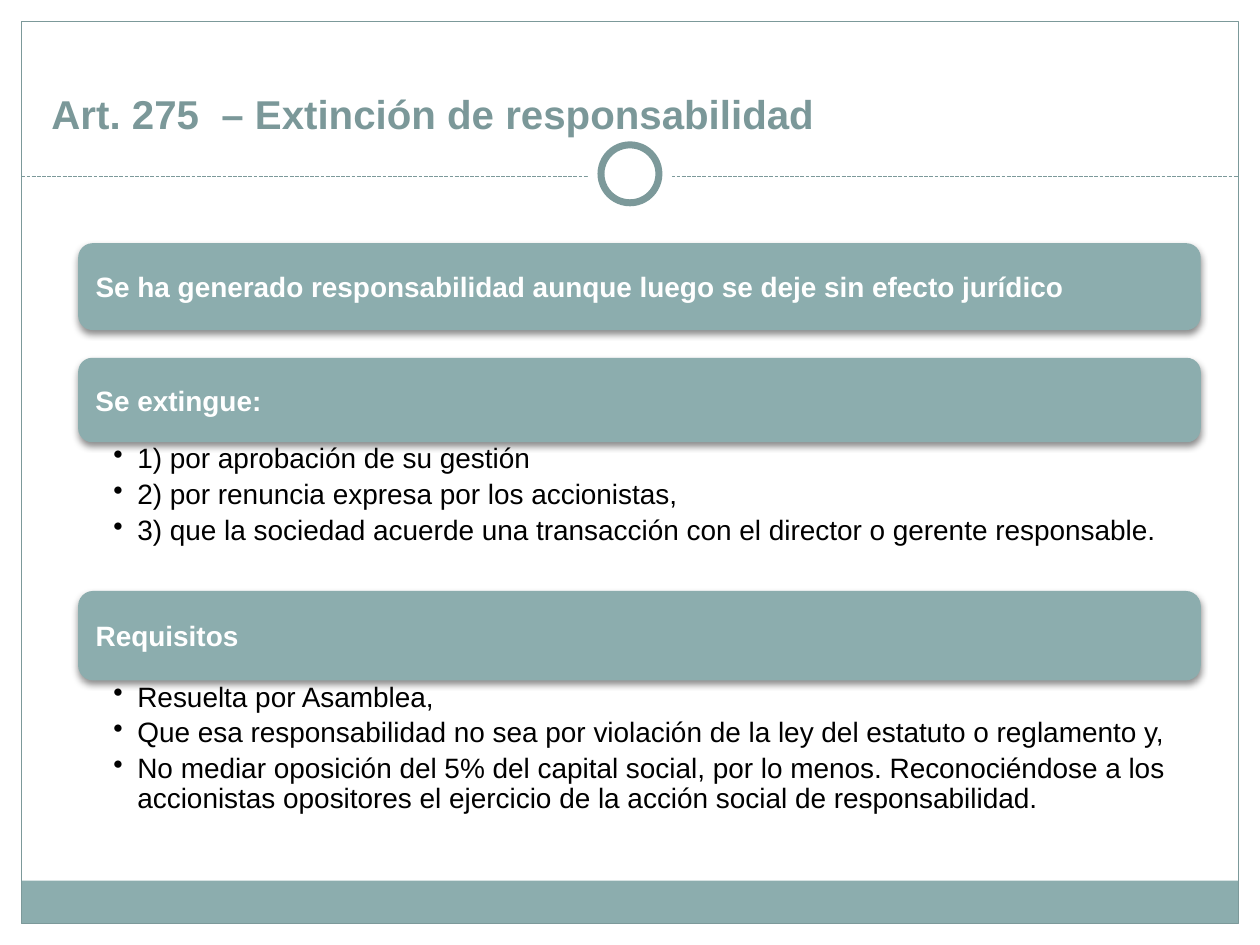
from lxml import etree
from pptx import Presentation
from pptx.dml.color import RGBColor
from pptx.enum.dml import MSO_LINE
from pptx.enum.shapes import MSO_CONNECTOR, MSO_SHAPE
from pptx.enum.text import MSO_ANCHOR, PP_ALIGN
from pptx.oxml.ns import qn
from pptx.util import Inches, Pt

RECT, ROUND, OVAL = MSO_SHAPE.RECTANGLE, MSO_SHAPE.ROUNDED_RECTANGLE, MSO_SHAPE.OVAL
STRAIGHT, DASH = MSO_CONNECTOR.STRAIGHT, MSO_LINE.SQUARE_DOT
TOP, MIDDLE, BOTTOM = MSO_ANCHOR.TOP, MSO_ANCHOR.MIDDLE, MSO_ANCHOR.BOTTOM
LEFT = PP_ALIGN.LEFT
COLS, ROWS = 100, 75
UNIT = Inches(10) // COLS
FONT = "Arial"
INK = {"sage": "8CADAE", "edge": "7C999A", "title": "7B9899",
       "white": "FFFFFF", "black": "000000"}

TITLE = "Art. 275  – Extinción de responsabilidad"
PARTS = [
    ("Se ha generado responsabilidad aunque luego se deje sin efecto jurídico", 6.9, []),
    ("Se extingue:", 6.7, [
        "1) por aprobación de su gestión",
        "2) por renuncia expresa por los accionistas,",
        "3) que la sociedad acuerde una transacción con el director o gerente responsable.",
    ]),
    ("Requisitos", 7.1, [
        "Resuelta por Asamblea,",
        "Que esa responsabilidad no sea por violación de la ley del estatuto o reglamento y,",
        "No mediar oposición del 5% del capital social, por lo menos. Reconociéndose a los "
        "accionistas opositores el ejercicio de la acción social de responsabilidad.",
    ]),
]
LIST_ROWS, GAP = 11.8, 2.2


def grid(*cells):
    return [round(cell * UNIT) for cell in cells]


def tint(name):
    return RGBColor.from_string(INK[name])


def form(slide, kind, box, fill=None, line=None, width=0.75):
    shape = slide.shapes.add_shape(kind, *grid(*box))
    shape.shadow.inherit = False
    if fill:
        shape.fill.solid()
        shape.fill.fore_color.rgb = tint(fill)
    else:
        shape.fill.background()
    if line:
        shape.line.color.rgb = tint(line)
        shape.line.width = Pt(width)
    else:
        shape.line.fill.background()
    return shape


def write(shape, lines, size, color, bold, anchor, pads):
    frame = shape.text_frame
    frame.word_wrap = True
    frame.vertical_anchor = anchor
    (frame.margin_left, frame.margin_top,
     frame.margin_right, frame.margin_bottom) = grid(*pads)
    frame.text = "\n".join(lines)
    for para in frame.paragraphs:
        para.alignment = LEFT
        para.font.name = FONT
        para.font.size = Pt(size)
        para.font.bold = bold
        para.font.color.rgb = tint(color)
    return frame.paragraphs


def shade(shape):
    effect = shape._element.spPr.find(qn("a:effectLst"))
    outer = etree.SubElement(effect, qn("a:outerShdw"), blurRad=str(Pt(4)),
                             dist=str(Pt(2)), dir="5400000", rotWithShape="0")
    color = etree.SubElement(outer, qn("a:srgbClr"), val=INK["black"])
    etree.SubElement(color, qn("a:alpha"), val="45000")


def bullet(para):
    para.line_spacing = 0.9
    para.space_after = Pt(3.2)
    props = para._p.get_or_add_pPr()
    indent = round(1.9 * UNIT)
    props.set("marL", str(indent))
    props.set("indent", str(-indent))
    etree.SubElement(props, qn("a:buChar"), char="•")


def border(slide, box):
    x, y, w, h = box
    foot = 3.4
    form(slide, RECT, (x, y + h - foot, w, foot), "sage")
    form(slide, RECT, box, line="edge")


def header(slide, box):
    x, y, w, h = box
    rule = y + h
    line = slide.shapes.add_connector(STRAIGHT, *grid(x, rule, x + w, rule))
    line.line.color.rgb = tint("edge")
    line.line.width = Pt(0.75)
    line.line.dash_style = DASH
    etree.SubElement(line._element.spPr, qn("a:effectLst"))
    mid = x + w / 2
    for size, edge in ((6.7, None), (4.6, "edge")):
        form(slide, OVAL, (mid - size / 2, rule - 0.2 - size / 2, size, size),
             "white", edge, 4)
    title = slide.shapes.add_textbox(*grid(x + 1.4, y + 1.4, w - 3.3, 8.3))
    write(title, [TITLE], 23, "title", True, BOTTOM, (1, 0.5, 1, 0.5))


def body(slide, box):
    x, y, w, _ = box
    for head, rows, items in PARTS:
        bar = form(slide, ROUND, (x, y, w, rows), "sage")
        shade(bar)
        write(bar, [head], 16, "white", True, MIDDLE, (1.05, 1, 1.05, 1))
        y += rows
        if items:
            area = slide.shapes.add_textbox(*grid(x, y, w, LIST_ROWS))
            for para in write(area, items, 16, "black", False, TOP, (2.8, 0.2, 1.2, 0.2)):
                bullet(para)
        y += LIST_ROWS if items else GAP


def main():
    deck = Presentation()
    deck.slide_width, deck.slide_height = grid(COLS, ROWS)
    slide = deck.slides.add_slide(deck.slide_layouts[6])
    border(slide, (1.7, 1.7, 96.6, 71.6))
    header(slide, (1.7, 1.7, 96.6, 12.3))
    body(slide, (6.2, 19.3, 89.1, 46.5))
    deck.save("out.pptx")


if __name__ == "__main__":
    main()
